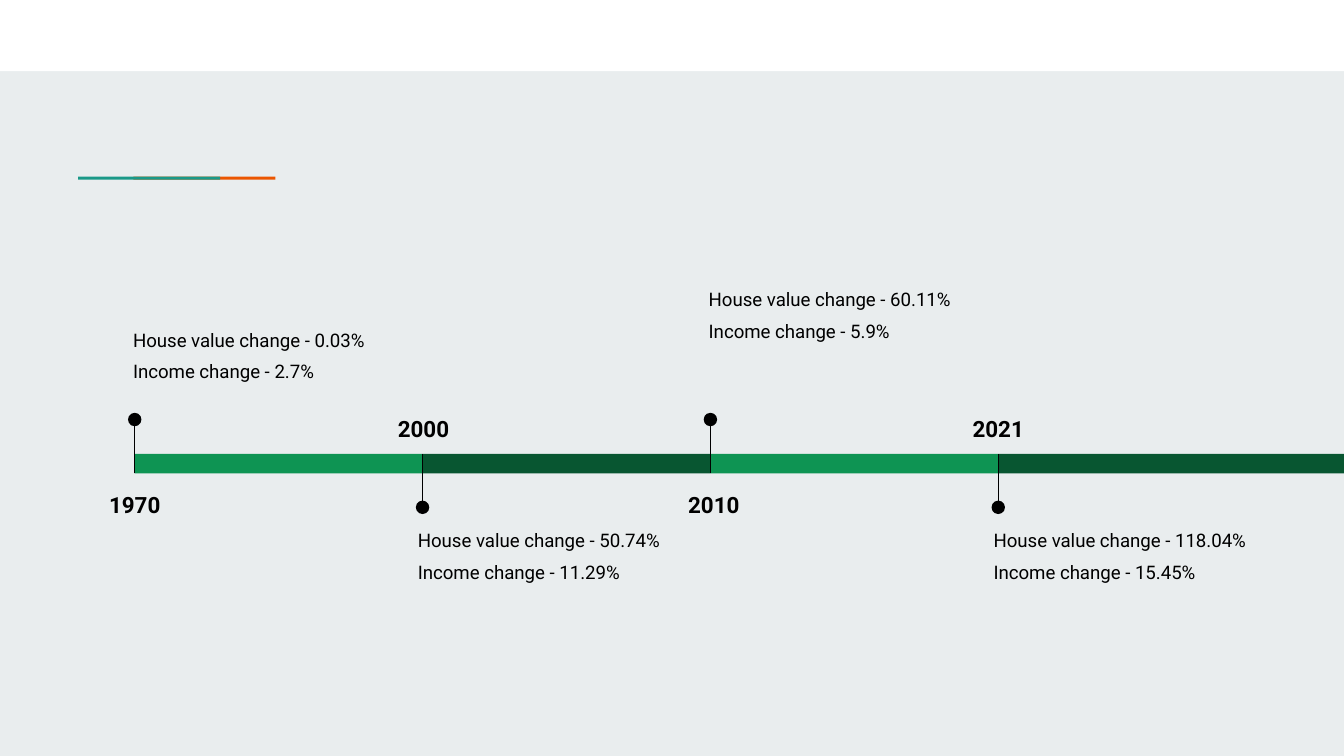
from dataclasses import dataclass

from lxml import etree
from pptx import Presentation
from pptx.dml.color import RGBColor
from pptx.enum.shapes import MSO_CONNECTOR, MSO_SHAPE
from pptx.enum.text import PP_ALIGN
from pptx.oxml.ns import qn
from pptx.util import Pt

RECTANGLE, OVAL = MSO_SHAPE.RECTANGLE, MSO_SHAPE.OVAL
STRAIGHT = MSO_CONNECTOR.STRAIGHT
LEFT, CENTER = PP_ALIGN.LEFT, PP_ALIGN.CENTER


@dataclass(frozen=True)
class Theme:
    font: str = "Roboto"
    background: str = "E9EDEE"
    band: str = "FFFFFF"
    ink: str = "000000"
    teal: str = "1A9988"
    orange: str = "EB5600"
    light_green: str = "0E9453"
    dark_green: str = "085631"
    year_size: float = 12
    note_size: float = 10
    pin_width: float = 0.75


@dataclass(frozen=True)
class Box:
    left: float
    top: float
    width: float
    height: float


@dataclass(frozen=True)
class Milestone:
    year: str
    house_change: str
    income_change: str
    note_drop: float = 0
    year_shift: float = 0


THEME = Theme()
SLIDE_WIDTH, SLIDE_HEIGHT = 720, 405
TEXT_INSET = 7.2
DOT_SIZE = 7.2
YEAR_WIDTH, YEAR_HEIGHT = 60, 29.5
NOTE_WIDTH, NOTE_HEIGHT = 177, 74
PERIOD_WIDTH = 154.2

MILESTONES = [
    Milestone("1970", "0.03%", "2.7%", note_drop=28.9),
    Milestone("2000", "50.74%", "11.29%", year_shift=0.5),
    Milestone("2010", "60.11%", "5.9%", year_shift=1.8),
    Milestone("2021", "118.04%", "15.45%"),
]


def add_filled(slide, kind, box, color):
    shape = slide.shapes.add_shape(
        kind, Pt(box.left), Pt(box.top), Pt(box.width), Pt(box.height))
    shape.shadow.inherit = False
    shape.fill.solid()
    shape.fill.fore_color.rgb = RGBColor.from_string(color)
    shape.line.fill.background()


def add_text(slide, box, lines, *, size, bold=False, align=LEFT,
             line_spacing=1.0, gap=0, drop=0):
    """Place lines in a box; gap parts paragraphs, drop lowers the first line."""
    frame = slide.shapes.add_textbox(
        Pt(box.left), Pt(box.top), Pt(box.width), Pt(box.height)).text_frame
    frame.word_wrap = True
    frame.margin_left = frame.margin_right = frame.margin_bottom = Pt(TEXT_INSET)
    frame.margin_top = Pt(TEXT_INSET + drop)
    for index, line in enumerate(lines):
        paragraph = frame.add_paragraph() if index else frame.paragraphs[0]
        paragraph.alignment = align
        paragraph.line_spacing = line_spacing
        paragraph.space_before = Pt(gap if index else 0)
        run = paragraph.add_run()
        run.text = line
        run.font.name = THEME.font
        run.font.size = Pt(size)
        run.font.bold = bold
        run.font.color.rgb = RGBColor.from_string(THEME.ink)


def add_pin(slide, x, start, end):
    """Draw a line across the bar with a dot centred just past its end."""
    stem = slide.shapes.add_connector(STRAIGHT, Pt(x), Pt(start), Pt(x), Pt(end))
    stem.line.color.rgb = RGBColor.from_string(THEME.ink)
    stem.line.width = Pt(THEME.pin_width)
    etree.SubElement(stem._element.spPr, qn("a:effectLst"))
    radius = DOT_SIZE / 2
    add_filled(slide, OVAL, Box(x - radius, end - radius, DOT_SIZE, DOT_SIZE),
               THEME.ink)


def add_milestone(slide, bar, milestone, note_above):
    bottom = bar.top + bar.height
    if note_above:
        color = THEME.light_green
        pin_start, pin_end = bottom, bar.top - 18.4
        year_top = bottom
        note_left, note_top = bar.left - 8, bar.top - 96.2
    else:
        color = THEME.dark_green
        pin_start, pin_end = bar.top, bottom + 18.2
        year_top = bar.top - 30
        note_left, note_top = bar.left - 9.6, bottom + 22.4
    add_filled(slide, RECTANGLE, bar, color)
    add_pin(slide, bar.left, pin_start, pin_end)
    year_left = bar.left - YEAR_WIDTH / 2 + milestone.year_shift
    add_text(slide, Box(year_left, year_top, YEAR_WIDTH, YEAR_HEIGHT),
             [milestone.year], size=THEME.year_size, bold=True, align=CENTER,
             line_spacing=1.15)
    add_text(slide, Box(note_left, note_top, NOTE_WIDTH, NOTE_HEIGHT),
             [f"House value change - {milestone.house_change}",
              f"Income change - {milestone.income_change}"],
             size=THEME.note_size, gap=5, drop=milestone.note_drop)


def add_timeline(slide, box):
    """Lay equal periods along the box; the last one fills the remainder."""
    last = len(MILESTONES) - 1
    for index, milestone in enumerate(MILESTONES):
        offset = index * PERIOD_WIDTH
        width = box.width - offset if index == last else PERIOD_WIDTH
        bar = Box(box.left + offset, box.top, width, box.height)
        add_milestone(slide, bar, milestone, note_above=index % 2 == 0)


def add_accent_rule(slide, box):
    """Draw two overlapping strips, teal over orange."""
    strip = box.width * 0.72
    add_filled(slide, RECTANGLE,
               Box(box.left + box.width - strip, box.top, strip, box.height),
               THEME.orange)
    add_filled(slide, RECTANGLE, Box(box.left, box.top, strip, box.height),
               THEME.teal)


def main():
    deck = Presentation()
    deck.slide_width, deck.slide_height = Pt(SLIDE_WIDTH), Pt(SLIDE_HEIGHT)
    blank_layout = deck.slide_layouts[6]
    slide = deck.slides.add_slide(blank_layout)
    slide.background.fill.solid()
    slide.background.fill.fore_color.rgb = RGBColor.from_string(THEME.background)
    add_filled(slide, RECTANGLE, Box(0, 0, SLIDE_WIDTH, 38.2), THEME.band)
    add_accent_rule(slide, Box(41.8, 94.7, 105.7, 1.6))
    timeline_left = 72.2
    add_timeline(slide, Box(timeline_left, 243.2, SLIDE_WIDTH - timeline_left, 10.4))
    deck.save("out.pptx")


if __name__ == "__main__":
    main()
